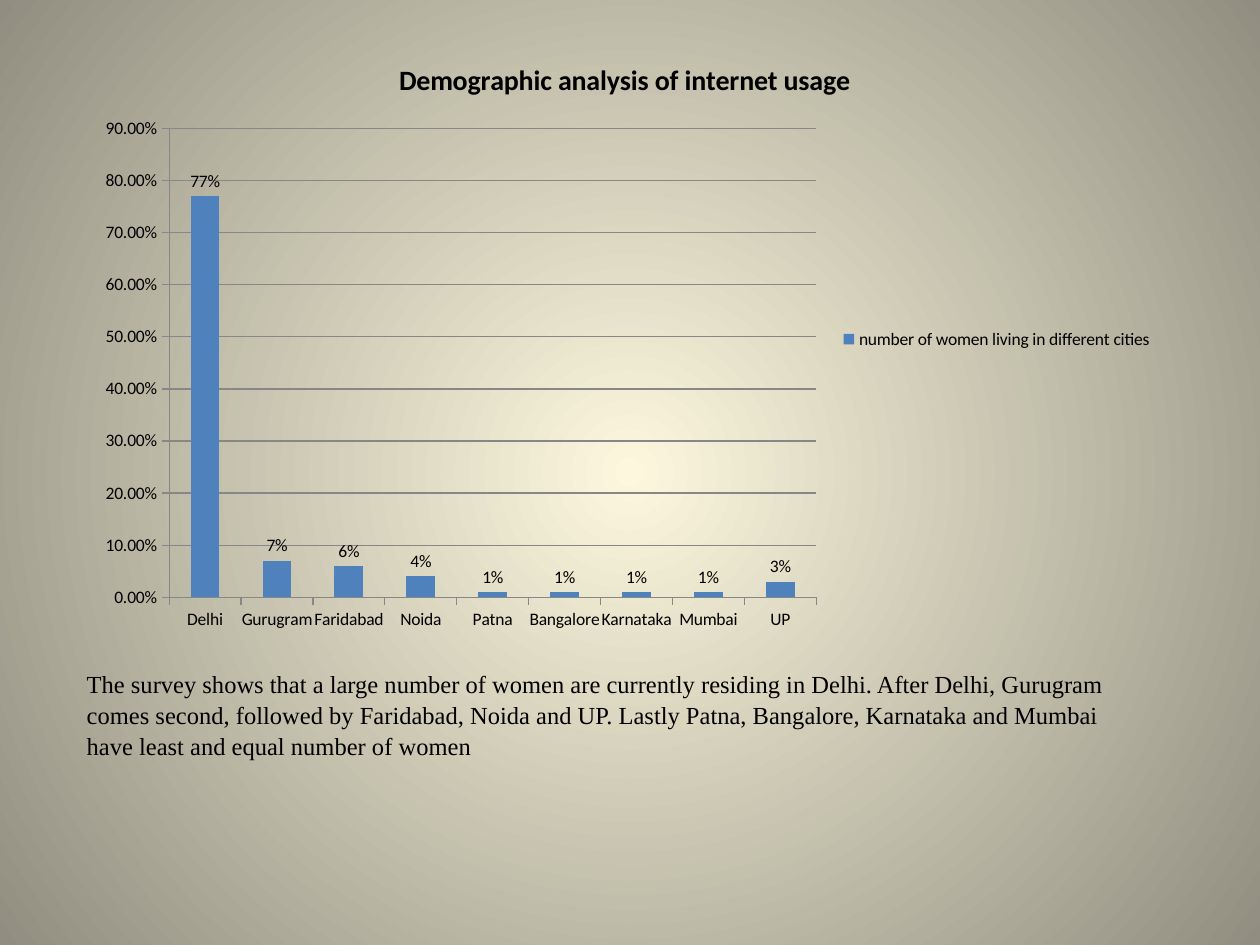
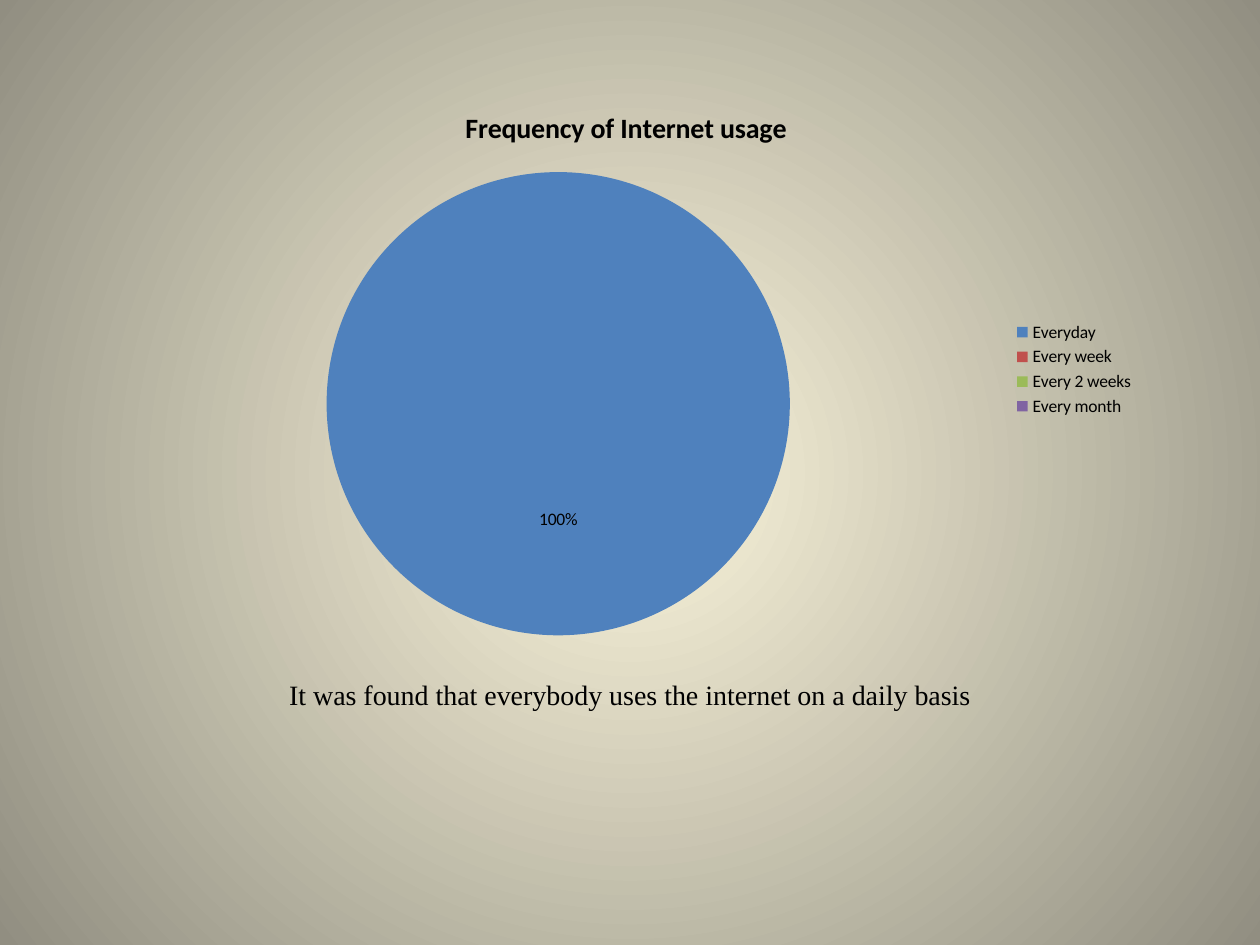
"""Build two survey slides, each a chart with its finding on a radial background."""
from dataclasses import dataclass

from lxml import etree
from pptx import Presentation
from pptx import util as u
from pptx.chart.chart import Chart
from pptx.chart.data import CategoryChartData
from pptx.dml.color import RGBColor
from pptx.enum import chart as ch
from pptx.enum import text as t
from pptx.oxml import parse_xml
from pptx.oxml.ns import nsdecls
from pptx.slide import Slide

COLORS = {
    "glow": "FCF7DD",
    "edge": "918E81",
    "ink": "000000",
    "grid": "878787",
    "blue": "4F81BD",
    "red": "C0504D",
    "green": "9BBB59",
    "purple": "8064A2",
}
CHART_FONT = "Calibri"
TEXT_FONT = "Times New Roman"


@dataclass(frozen=True)
class Frame:
    """Position and size in points."""

    left: float
    top: float
    width: float
    height: float

    def lengths(self) -> tuple[u.Length, ...]:
        """Return the four lengths for python-pptx."""
        return tuple(u.Pt(v) for v in (self.left, self.top, self.width, self.height))


@dataclass(frozen=True)
class Finding:
    """Sentence that explains a chart."""

    text: str
    frame: Frame
    size: float
    align: t.PP_ALIGN


@dataclass(frozen=True)
class SurveyChart:
    """Chart of one survey question."""

    kind: ch.XL_CHART_TYPE
    title: str
    frame: Frame
    series: str
    answers: dict[str, float | None]
    label_format: str
    label_position: ch.XL_LABEL_POSITION


CITIES = SurveyChart(
    ch.XL_CHART_TYPE.COLUMN_CLUSTERED,
    "Demographic analysis of internet usage",
    Frame(48, 21, 618, 345.6),
    "number of women living in different cities",
    {
        "Delhi": 0.77, "Gurugram": 0.07, "Faridabad": 0.06, "Noida": 0.04,
        "Patna": 0.01, "Bangalore": 0.01, "Karnataka": 0.01, "Mumbai": 0.01,
        "UP": 0.03,
    },
    "0%",
    ch.XL_LABEL_POSITION.OUTSIDE_END,
)
CITIES_FINDING = Finding(
    "The survey shows that a large number of women are currently residing in Delhi. "
    "After Delhi, Gurugram comes second, followed by Faridabad, Noida and UP. "
    "Lastly Patna, Bangalore, Karnataka and Mumbai have least and equal number of women",
    Frame(42.5, 378, 618, 108),
    14,
    t.PP_ALIGN.LEFT,
)
FREQUENCY = SurveyChart(
    ch.XL_CHART_TYPE.PIE,
    "Frequency of Internet usage",
    Frame(60, 49, 595.5, 324),
    "Series 1",
    {"Everyday": 100, "Every week": None, "Every 2 weeks": None, "Every month": None},
    '0"%"',
    ch.XL_LABEL_POSITION.CENTER,
)
FREQUENCY_FINDING = Finding(
    "It was found that everybody uses the internet on a daily basis",
    Frame(42.5, 383, 635, 103),
    16,
    t.PP_ALIGN.CENTER,
)


def color(name: str) -> RGBColor:
    """Look up a named colour."""
    return RGBColor.from_string(COLORS[name])


def paint_background(page: Slide) -> None:
    """Give the slide a circular gradient from its centre."""
    fill = page.background.fill
    fill.gradient()
    gradient = parse_xml(
        f'<a:gradFill {nsdecls("a")} rotWithShape="1"><a:gsLst>'
        f'<a:gs pos="0"><a:srgbClr val="{COLORS["glow"]}"/></a:gs>'
        f'<a:gs pos="100000"><a:srgbClr val="{COLORS["edge"]}"/></a:gs></a:gsLst>'
        '<a:path path="circle"><a:fillToRect l="50000" t="50000" r="50000" b="50000"/>'
        "</a:path></a:gradFill>"
    )
    properties: etree._Element = page.background._cSld.bg.bgPr
    properties.replace(properties[0], gradient)


def add_finding(page: Slide, finding: Finding) -> None:
    """Write the sentence below the chart."""
    box = page.shapes.add_textbox(*finding.frame.lengths())
    box.text_frame.word_wrap = True
    para = box.text_frame.paragraphs[0]
    para.alignment = finding.align
    para.line_spacing = 1.05
    span = para.add_run()
    span.text = finding.text
    span.font.name = TEXT_FONT
    span.font.size = u.Pt(finding.size)
    span.font.color.rgb = color("ink")


def add_survey_chart(page: Slide, survey: SurveyChart) -> Chart:
    """Draw a chart with its title, legend and value labels."""
    data = CategoryChartData()
    data.categories = list(survey.answers)
    data.add_series(survey.series, list(survey.answers.values()))
    chart = page.shapes.add_chart(survey.kind, *survey.frame.lengths(), data).chart
    chart.font.name = CHART_FONT
    chart.font.size = u.Pt(10)
    chart.font.color.rgb = color("ink")

    chart.has_title = True
    span = chart.chart_title.text_frame.paragraphs[0].add_run()
    span.text = survey.title
    span.font.name = CHART_FONT
    span.font.size = u.Pt(16)
    span.font.bold = True
    span.font.color.rgb = color("ink")
    chart.chart_title.include_in_layout = False

    chart.has_legend = True
    chart.legend.position = ch.XL_LEGEND_POSITION.RIGHT
    chart.legend.include_in_layout = False

    plot = chart.plots[0]
    plot.has_data_labels = True
    labels = plot.data_labels
    labels.show_value = True
    labels.show_percentage = False
    labels.number_format = survey.label_format
    labels.number_format_is_linked = False
    labels.position = survey.label_position
    return chart


def style_columns(chart: Chart) -> None:
    """Colour the columns and set up both axes."""
    plot = chart.plots[0]
    plot.vary_by_categories = False
    plot.gap_width = 150
    fill = plot.series[0].format.fill
    fill.solid()
    fill.fore_color.rgb = color("blue")
    values = chart.value_axis
    values.minimum_scale, values.maximum_scale, values.major_unit = 0, 0.9, 0.1
    values.tick_labels.number_format = "0.00%"
    values.tick_labels.number_format_is_linked = False
    values.has_major_gridlines = True
    for axis in (values, chart.category_axis):
        axis.major_tick_mark = ch.XL_TICK_MARK.OUTSIDE
    for part in (values, chart.category_axis, values.major_gridlines):
        part.format.line.color.rgb = color("grid")
        part.format.line.width = u.Pt(0.75)


def style_slices(chart: Chart) -> None:
    """Colour each slice of the pie."""
    plot = chart.plots[0]
    plot.vary_by_categories = True
    for index, name in enumerate(("blue", "red", "green", "purple")):
        fill = plot.series[0].points[index].format.fill
        fill.solid()
        fill.fore_color.rgb = color(name)


def main() -> None:
    """Build and save the deck."""
    deck = Presentation()
    deck.slide_width, deck.slide_height = u.Pt(720), u.Pt(540)
    blank = deck.slide_layouts.get_by_name("Blank")
    for survey, finding, style in (
        (CITIES, CITIES_FINDING, style_columns),
        (FREQUENCY, FREQUENCY_FINDING, style_slices),
    ):
        page = deck.slides.add_slide(blank)
        paint_background(page)
        add_finding(page, finding)
        style(add_survey_chart(page, survey))
    deck.save("out.pptx")


if __name__ == "__main__":
    main()
